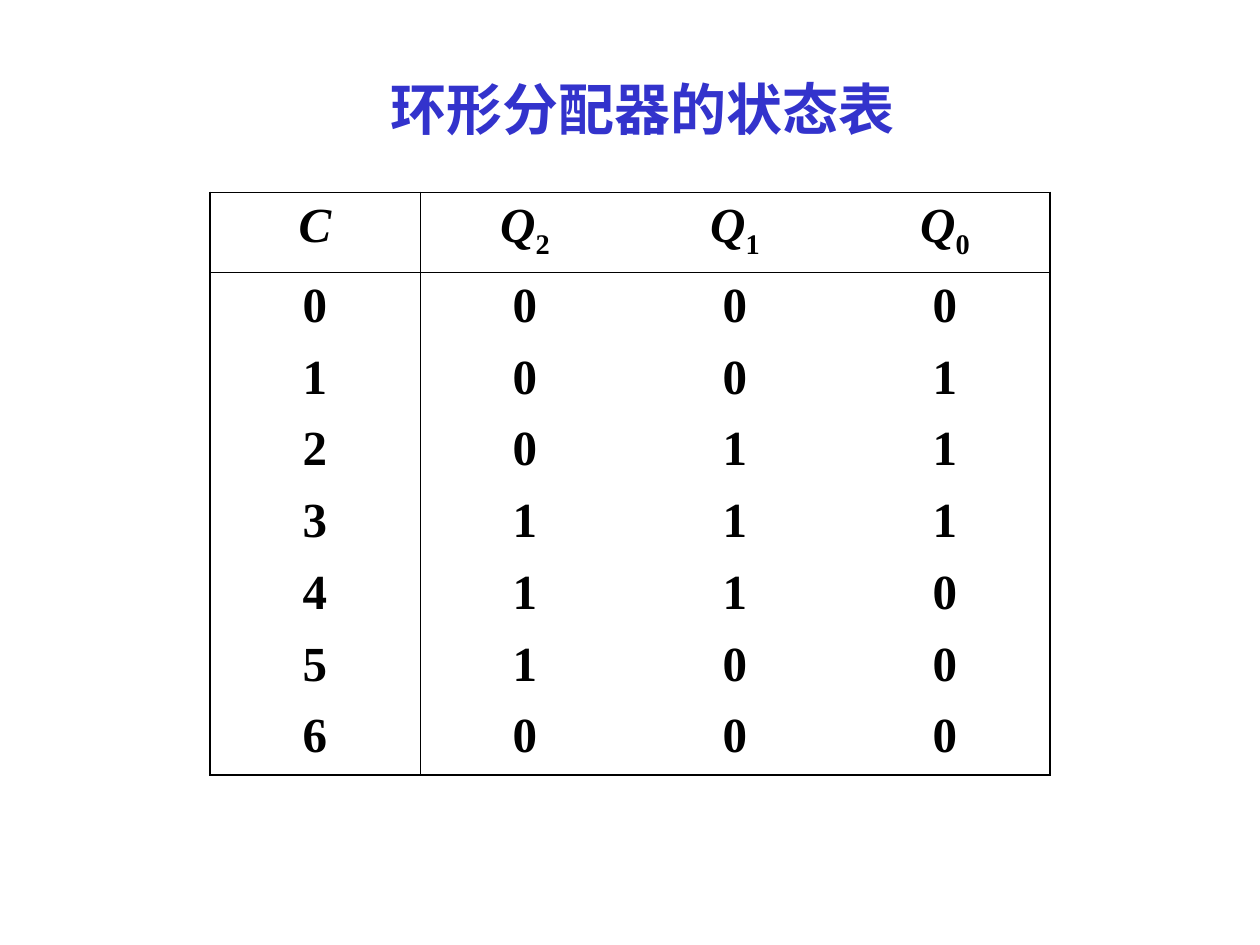
import pptx
import pptx.dml.color
import pptx.enum.text
import pptx.oxml
import pptx.oxml.ns
import pptx.util

Pt = pptx.util.Pt
RGB = pptx.dml.color.RGBColor.from_string

THEME = {
    "font": "Times New Roman",
    "title_color": "3333CC",
    "ink": "000000",
    "title_size": 32,
    "cell_size": 28,
    "frame": 1.08,
    "rule": 0.45,
}


def add_border(cell, side, width):
    """Draw one side (L, R, T or B) of a cell; a width of 0 hides it."""
    fill = (f'<a:solidFill><a:srgbClr val="{THEME["ink"]}"/></a:solidFill>'
            if width else "<a:noFill/>")
    cell._tc.get_or_add_tcPr().append(pptx.oxml.parse_xml(
        f'<a:ln{side} {pptx.oxml.ns.nsdecls("a")} w="{int(Pt(width))}">{fill}</a:ln{side}>'))


def set_font(paragraph, size, color):
    paragraph.font.name = THEME["font"]
    paragraph.font.size = Pt(size)
    paragraph.font.bold = True
    paragraph.font.color.rgb = RGB(color)


deck = pptx.Presentation()
deck.slide_width, deck.slide_height = Pt(720), Pt(540)
slide = deck.slides.add_slide(deck.slide_layouts[5])

title = slide.shapes.title
title.left, title.top, title.width, title.height = Pt(216), Pt(39), Pt(312), Pt(46)
title.text_frame.text = "环形分配器的状态表"
title.text_frame.vertical_anchor = pptx.enum.text.MSO_ANCHOR.TOP
title.text_frame.auto_size = pptx.enum.text.MSO_AUTO_SIZE.SHAPE_TO_FIT_TEXT
heading = title.text_frame.paragraphs[0]
heading.alignment = pptx.enum.text.PP_ALIGN.LEFT
set_font(heading, THEME["title_size"], THEME["title_color"])

# Each header is a symbol and its subscript; each state is Q2 Q1 Q0.
headers = [("C", ""), ("Q", "2"), ("Q", "1"), ("Q", "0")]
states = ["000", "001", "011", "111", "110", "100", "000"]
rows = [headers] + [[(digit, "") for digit in f"{count}{state}"]
                    for count, state in enumerate(states)]

HEADER_HEIGHT, ROW_HEIGHT, COLUMN_WIDTH = 45.6, 41.04, 120
row_count, column_count = len(rows), len(headers)
state_table = slide.shapes.add_table(
    row_count, column_count, Pt(120), Pt(110), Pt(COLUMN_WIDTH * column_count),
    Pt(HEADER_HEIGHT + ROW_HEIGHT * len(states))).table
state_table.first_row = state_table.horz_banding = False
for column in state_table.columns:
    column.width = Pt(COLUMN_WIDTH)
for r, row in enumerate(state_table.rows):
    row.height = Pt(ROW_HEIGHT if r else HEADER_HEIGHT)

# Line widths by grid line: frame outside, a rule after the first row and column.
row_lines = {0: THEME["frame"], 1: THEME["rule"], row_count: THEME["frame"]}
column_lines = {0: THEME["frame"], 1: THEME["rule"], column_count: THEME["frame"]}

for r, entries in enumerate(rows):
    for c, (symbol, subscript) in enumerate(entries):
        cell = state_table.cell(r, c)
        add_border(cell, "L", column_lines.get(c, 0))
        add_border(cell, "R", column_lines.get(c + 1, 0))
        add_border(cell, "T", row_lines.get(r, 0))
        add_border(cell, "B", row_lines.get(r + 1, 0))
        cell.fill.background()

        entry = cell.text_frame.paragraphs[0]
        entry.alignment = pptx.enum.text.PP_ALIGN.CENTER
        set_font(entry, THEME["cell_size"], THEME["ink"])
        symbol_run = entry.add_run()
        symbol_run.text = symbol
        symbol_run.font.italic = r == 0
        if subscript:
            index_run = entry.add_run()
            index_run.text = subscript
            index_run.font.italic = False
            index_run.font._element.set("baseline", "-25000")

deck.save("out.pptx")
